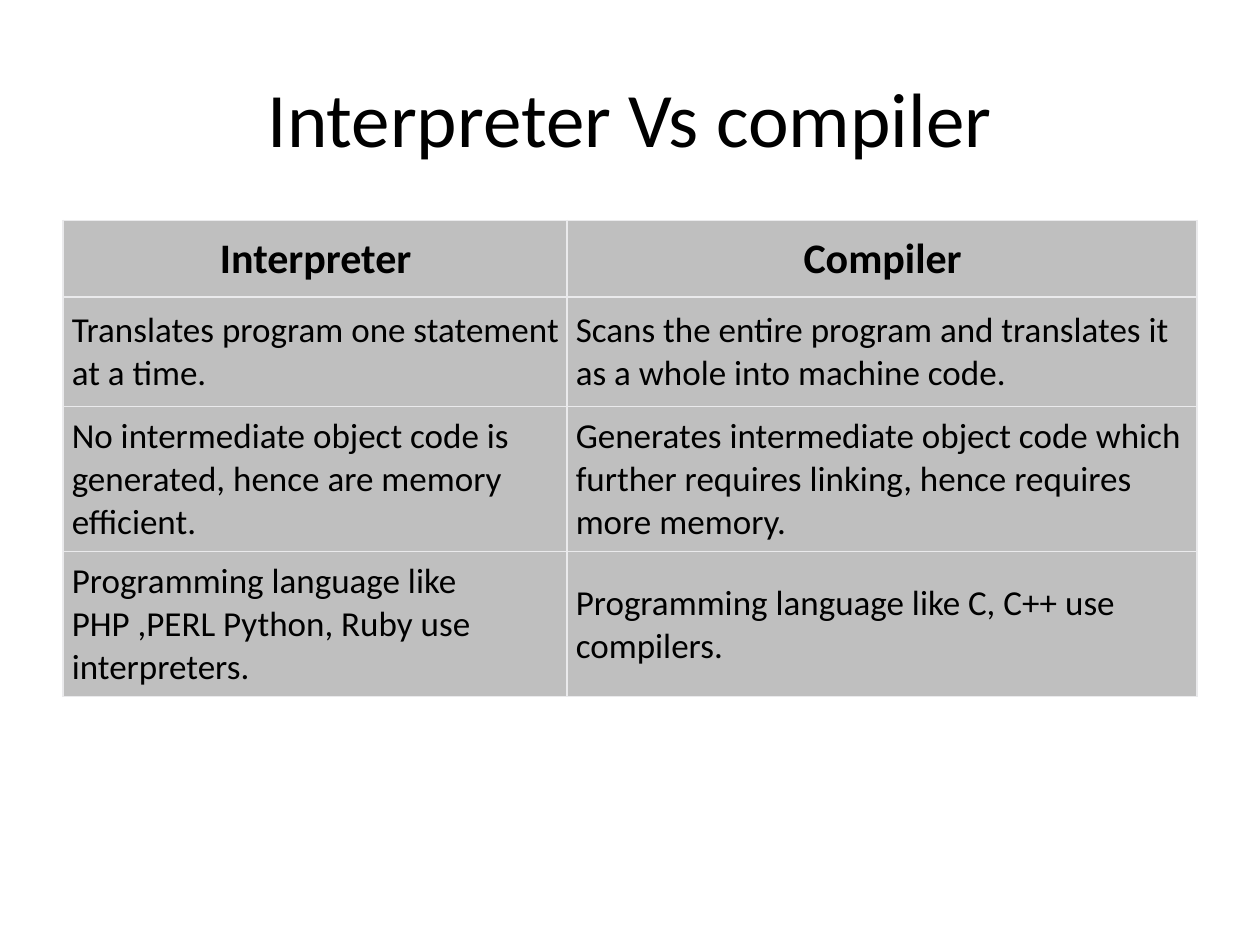
from lxml import etree
from pptx import Presentation
from pptx.dml.color import RGBColor
from pptx.enum import text
from pptx.oxml.ns import qn
from pptx.util import Inches, Pt

TITLE = "Interpreter Vs compiler"
COMPARISON = [
    ("Interpreter", "Compiler"),
    ("Translates program one statement at a time.",
     "Scans the entire program and translates it as a whole into machine code."),
    ("No intermediate object code is generated, hence are memory efficient.",
     "Generates intermediate object code which further requires linking, "
     "hence requires more memory."),
    ("Programming language like PHP ,PERL Python, Ruby use interpreters.",
     "Programming language like C, C++ use compilers."),
]
COLUMN_WIDTHS = (4, 5)
ROW_HEIGHTS = (0.6, 0.87, 1.15, 1.15)
COLORS = {"text": "000000", "cell": "BFBFBF", "border": "EAEAEC"}
FONT = "Calibri"


def write(frame, words, size, bold=False, align=text.PP_ALIGN.LEFT):
    paragraph = frame.paragraphs[0]
    paragraph.alignment = align
    run = paragraph.add_run()
    run.text = words
    run.font.name = FONT
    run.font.size = Pt(size)
    run.font.bold = bold
    run.font.color.rgb = RGBColor.from_string(COLORS["text"])


def add_borders(cell):
    """Line all four sides; border elements must precede the cell's fill."""
    properties = cell._tc.get_or_add_tcPr()
    for position, side in enumerate(("lnL", "lnR", "lnT", "lnB")):
        line = etree.Element(qn(f"a:{side}"), w=str(Pt(0.75)))
        fill = etree.SubElement(line, qn("a:solidFill"))
        etree.SubElement(fill, qn("a:srgbClr"), val=COLORS["border"])
        properties.insert(position, line)


def format_cell(cell, words, is_header):
    cell.fill.solid()
    cell.fill.fore_color.rgb = RGBColor.from_string(COLORS["cell"])
    add_borders(cell)
    cell.vertical_anchor = text.MSO_ANCHOR.MIDDLE
    cell.margin_left, cell.margin_right = Inches(0.07), Inches(0.06)
    cell.margin_top = Inches(0.1 if is_header else 0.07)
    cell.margin_bottom = Inches(0.1 if is_header else 0.06)
    if is_header:
        write(cell.text_frame, words, 24, True, text.PP_ALIGN.CENTER)
    else:
        write(cell.text_frame, words, 20)


def main():
    deck = Presentation()
    deck.slide_width, deck.slide_height = Inches(10), Inches(7.5)
    slide = deck.slides.add_slide(deck.slide_layouts[5])

    title = slide.shapes.title
    title.left, title.top = Inches(0.5), Inches(0.3)
    title.width, title.height = Inches(9), Inches(1.25)
    title.text_frame.vertical_anchor = text.MSO_ANCHOR.MIDDLE
    write(title.text_frame, TITLE, 44, align=text.PP_ALIGN.CENTER)

    table = slide.shapes.add_table(
        len(COMPARISON), len(COLUMN_WIDTHS), Inches(0.5), Inches(1.75),
        Inches(sum(COLUMN_WIDTHS)), Inches(sum(ROW_HEIGHTS))).table
    table.horz_banding = False
    for column, width in zip(table.columns, COLUMN_WIDTHS):
        column.width = Inches(width)
    for r, (row, height) in enumerate(zip(table.rows, ROW_HEIGHTS)):
        row.height = Inches(height)
        for cell, words in zip(row.cells, COMPARISON[r]):
            format_cell(cell, words, is_header=r == 0)

    deck.save("out.pptx")


if __name__ == "__main__":
    main()
